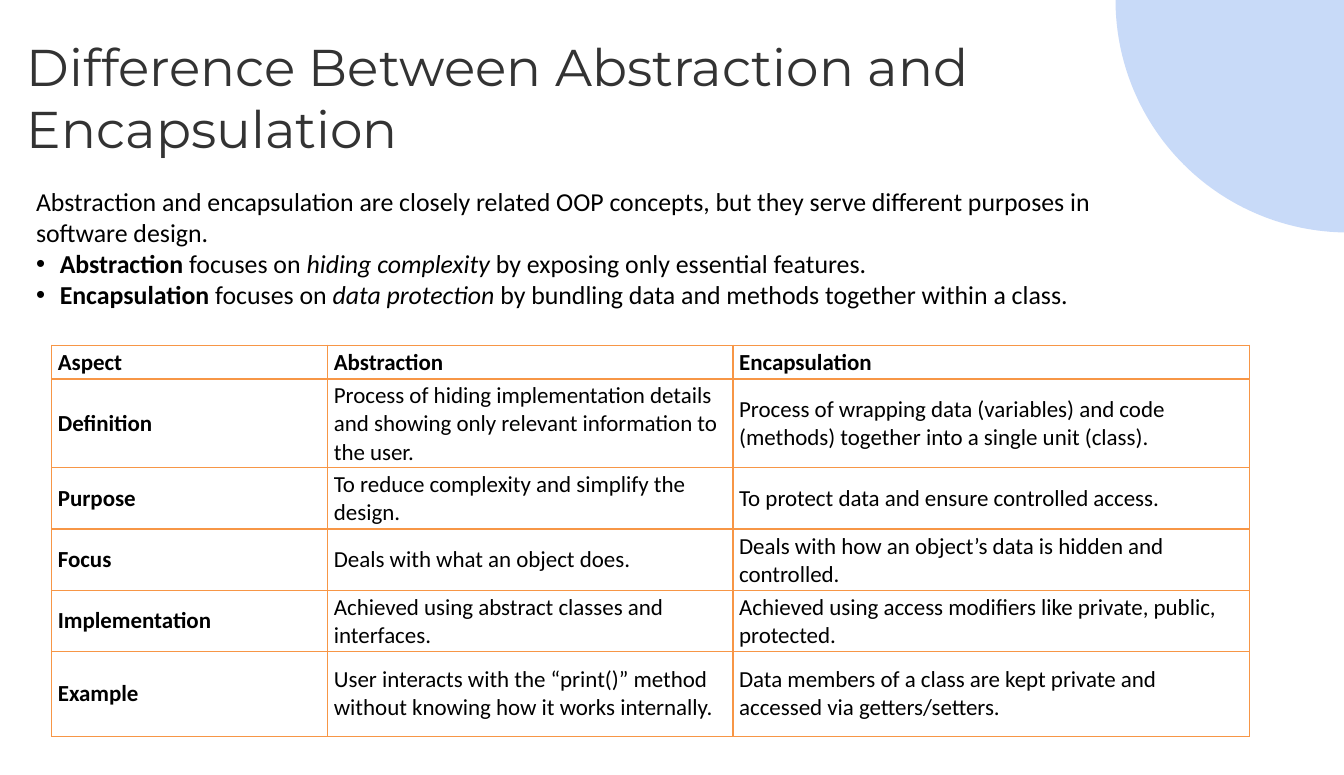
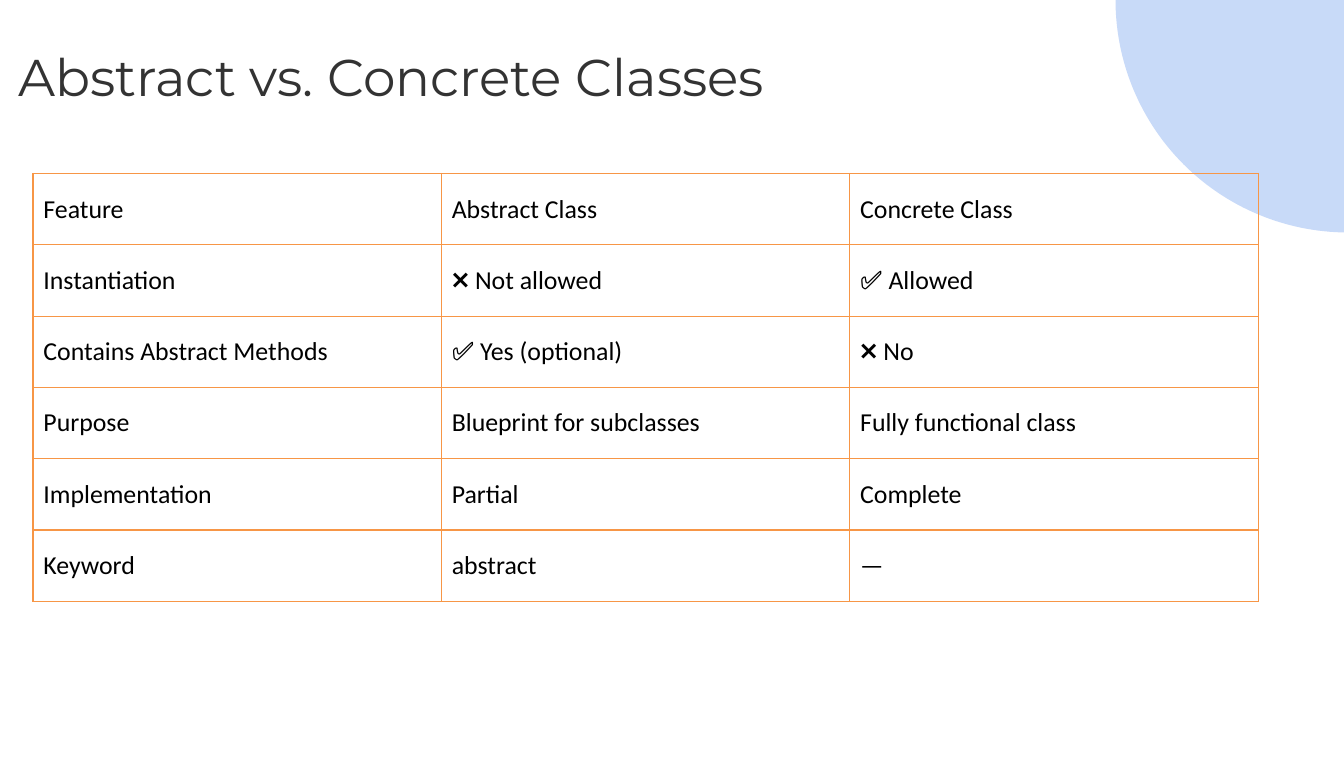
from dataclasses import dataclass
from math import cos, pi, sin

from lxml.etree import SubElement
from pptx import Presentation
from pptx.dml.color import RGBColor
from pptx.enum.text import MSO_ANCHOR, MSO_AUTO_SIZE as AutoSize, PP_ALIGN
from pptx.oxml.ns import qn
from pptx.presentation import Presentation as Deck
from pptx.slide import Slide
from pptx.util import Inches, Pt

SLIDE_WIDTH = 13
SLIDE_HEIGHT = 7.5
TITLE_ONLY = 5

TITLE_FONT = "Montserrat"
BODY_FONT = "Calibri"
TITLE_COLOR = RGBColor(0x33, 0x33, 0x33)
TEXT_COLOR = RGBColor(0x00, 0x00, 0x00)
CORNER_COLOR = RGBColor(0x64, 0x95, 0xED)
BORDER_COLOR = RGBColor(0xF7, 0x96, 0x46)

CORNER_RADIUS = 2.25
CORNER_CENTER = 13.04
CORNER_STEPS = 60
CORNER_OPACITY = 35


@dataclass(frozen=True)
class Box:
    left: float
    top: float
    width: float
    height: float

    def lengths(self) -> tuple[Inches, ...]:
        return tuple(Inches(n) for n in (self.left, self.top, self.width, self.height))


@dataclass(frozen=True)
class Span:
    text: str
    bold: bool = False
    italic: bool = False


@dataclass(frozen=True)
class Line:
    spans: tuple[Span, ...]
    bullet: bool = False


@dataclass(frozen=True)
class Grid:
    box: Box
    columns: tuple[float, ...]
    rows: tuple[float, ...]
    cells: tuple[tuple[str, ...], ...]
    size: int
    margin_x: float = 0.1
    margin_y: float = 0.05
    bold_headings: bool = False


INTRODUCTION = (
    Line((Span(
        "Abstraction and encapsulation are closely related OOP concepts, "
        "but they serve different purposes in software design."
    ),)),
    Line((
        Span("Abstraction", bold=True),
        Span(" focuses on "),
        Span("hiding complexity", italic=True),
        Span(" by exposing only essential features."),
    ), bullet=True),
    Line((
        Span("Encapsulation", bold=True),
        Span(" focuses on "),
        Span("data protection", italic=True),
        Span(" by bundling data and methods together within a class."),
    ), bullet=True),
)

DIFFERENCES = Grid(
    box=Box(0.5, 3.34, 11.58, 3.78),
    columns=(2.67, 3.92, 5),
    rows=(0.31, 0.82, 0.57, 0.57, 0.57, 0.82),
    cells=(
        ("Aspect", "Abstraction", "Encapsulation"),
        (
            "Definition",
            "Process of hiding implementation details and showing only "
            "relevant information to the user.",
            "Process of wrapping data (variables) and code (methods) "
            "together into a single unit (class).",
        ),
        (
            "Purpose",
            "To reduce complexity and simplify the design.",
            "To protect data and ensure controlled access.",
        ),
        (
            "Focus",
            "Deals with what an object does.",
            "Deals with how an object’s data is hidden and controlled.",
        ),
        (
            "Implementation",
            "Achieved using abstract classes and interfaces.",
            "Achieved using access modifiers like private, public, protected.",
        ),
        (
            "Example",
            "User interacts with the “print()” method without knowing "
            "how it works internally.",
            "Data members of a class are kept private and accessed via "
            "getters/setters.",
        ),
    ),
    size=16,
    margin_x=0.06,
    margin_y=0.03,
    bold_headings=True,
)

CLASS_KINDS = Grid(
    box=Box(0.32, 1.68, 11.86, 4.14),
    columns=(3.95,) * 3,
    rows=(0.69,) * 6,
    cells=(
        ("Feature", "Abstract Class", "Concrete Class"),
        ("Instantiation", "❌ Not allowed", "✅ Allowed"),
        ("Contains Abstract Methods", "✅ Yes (optional)", "❌ No"),
        ("Purpose", "Blueprint for subclasses", "Fully functional class"),
        ("Implementation", "Partial", "Complete"),
        ("Keyword", "abstract", "—"),
    ),
    size=18,
)


def format_run(run, font: str, size: int, color: RGBColor,
               bold: bool = False, italic: bool = False) -> None:
    run.font.name = font
    run.font.size = Pt(size)
    run.font.color.rgb = color
    run.font.bold = bold
    run.font.italic = italic


def set_indent(paragraph, margin: float, first: float):
    properties = paragraph._p.get_or_add_pPr()
    properties.set("marL", str(Inches(margin)))
    properties.set("indent", str(Inches(first)))
    return properties


def place_title(slide: Slide, text: str, box: Box) -> None:
    title = slide.shapes.title
    title.left, title.top, title.width, title.height = box.lengths()
    frame = title.text_frame
    frame.text = text
    frame.word_wrap = True
    frame.auto_size = AutoSize.SHAPE_TO_FIT_TEXT
    frame.vertical_anchor = MSO_ANCHOR.TOP
    frame.margin_left = frame.margin_right = frame.margin_bottom = 0
    frame.margin_top = Inches(0.01)
    paragraph = frame.paragraphs[0]
    paragraph.alignment = PP_ALIGN.LEFT
    paragraph.space_before = Pt(1)
    set_indent(paragraph, 0.01, 0)
    format_run(paragraph.runs[0], TITLE_FONT, 36, TITLE_COLOR)


def draw_corner(slide: Slide) -> None:
    points = []
    for step in range(CORNER_STEPS + 1):
        angle = pi / 2 * step / CORNER_STEPS
        x = min(SLIDE_WIDTH, CORNER_CENTER - CORNER_RADIUS * sin(angle))
        points.append((Inches(x), Inches(CORNER_RADIUS * cos(angle))))
    points.append((Inches(SLIDE_WIDTH), 0))
    builder = slide.shapes.build_freeform(*points[0])
    builder.add_line_segments(points[1:], close=True)
    corner = builder.convert_to_shape()
    corner.shadow.inherit = False
    corner.line.fill.background()
    corner.fill.solid()
    corner.fill.fore_color.rgb = CORNER_COLOR
    color = corner._element.spPr.find(f".//{qn('a:srgbClr')}")
    SubElement(color, qn("a:alpha"), val=str(CORNER_OPACITY * 1000))


def add_lines(slide: Slide, lines: tuple[Line, ...], box: Box) -> None:
    frame = slide.shapes.add_textbox(*box.lengths()).text_frame
    frame.word_wrap = True
    frame.auto_size = AutoSize.SHAPE_TO_FIT_TEXT
    for index, line in enumerate(lines):
        paragraph = frame.add_paragraph() if index else frame.paragraphs[0]
        if line.bullet:
            properties = set_indent(paragraph, 0.23, -0.23)
            SubElement(properties, qn("a:buFont"), typeface="Arial")
            SubElement(properties, qn("a:buChar"), char="•")
        for span in line.spans:
            run = paragraph.add_run()
            run.text = span.text
            format_run(run, BODY_FONT, 18, TEXT_COLOR, span.bold, span.italic)


def set_borders(cell) -> None:
    properties = cell._tc.get_or_add_tcPr()
    for side in ("lnL", "lnR", "lnT", "lnB"):
        line = SubElement(properties, qn(f"a:{side}"), w=str(Pt(1)))
        fill = SubElement(line, qn("a:solidFill"))
        SubElement(fill, qn("a:srgbClr"), val=str(BORDER_COLOR))


def add_grid(slide: Slide, grid: Grid) -> None:
    table = slide.shapes.add_table(
        len(grid.rows), len(grid.columns), *grid.box.lengths()
    ).table
    table.first_row = False
    table.horz_banding = False
    for column, width in zip(table.columns, grid.columns):
        column.width = Inches(width)
    for row, height in zip(table.rows, grid.rows):
        row.height = Inches(height)
    for row_index, texts in enumerate(grid.cells):
        for column_index, text in enumerate(texts):
            cell = table.cell(row_index, column_index)
            cell.text = text
            cell.vertical_anchor = MSO_ANCHOR.MIDDLE
            cell.margin_left = cell.margin_right = Inches(grid.margin_x)
            cell.margin_top = cell.margin_bottom = Inches(grid.margin_y)
            set_borders(cell)
            cell.fill.background()
            heading = row_index == 0 or column_index == 0
            format_run(cell.text_frame.paragraphs[0].runs[0], BODY_FONT, grid.size,
                       TEXT_COLOR, grid.bold_headings and heading)


def add_slide(presentation: Deck, title: str, title_box: Box) -> Slide:
    slide = presentation.slides.add_slide(presentation.slide_layouts[TITLE_ONLY])
    place_title(slide, title, title_box)
    draw_corner(slide)
    return slide


def main() -> None:
    presentation = Presentation()
    presentation.slide_width = Inches(SLIDE_WIDTH)
    presentation.slide_height = Inches(SLIDE_HEIGHT)

    differences = add_slide(
        presentation,
        "Difference Between Abstraction and Encapsulation",
        Box(0.25, 0.33, 11.18, 1.23),
    )
    add_lines(differences, INTRODUCTION, Box(0.25, 1.75, 10.58, 1.62))
    add_grid(differences, DIFFERENCES)

    class_kinds = add_slide(
        presentation, "Abstract vs. Concrete Classes", Box(0.17, 0.42, 12, 0.62)
    )
    add_grid(class_kinds, CLASS_KINDS)

    presentation.save("out.pptx")


if __name__ == "__main__":
    main()
